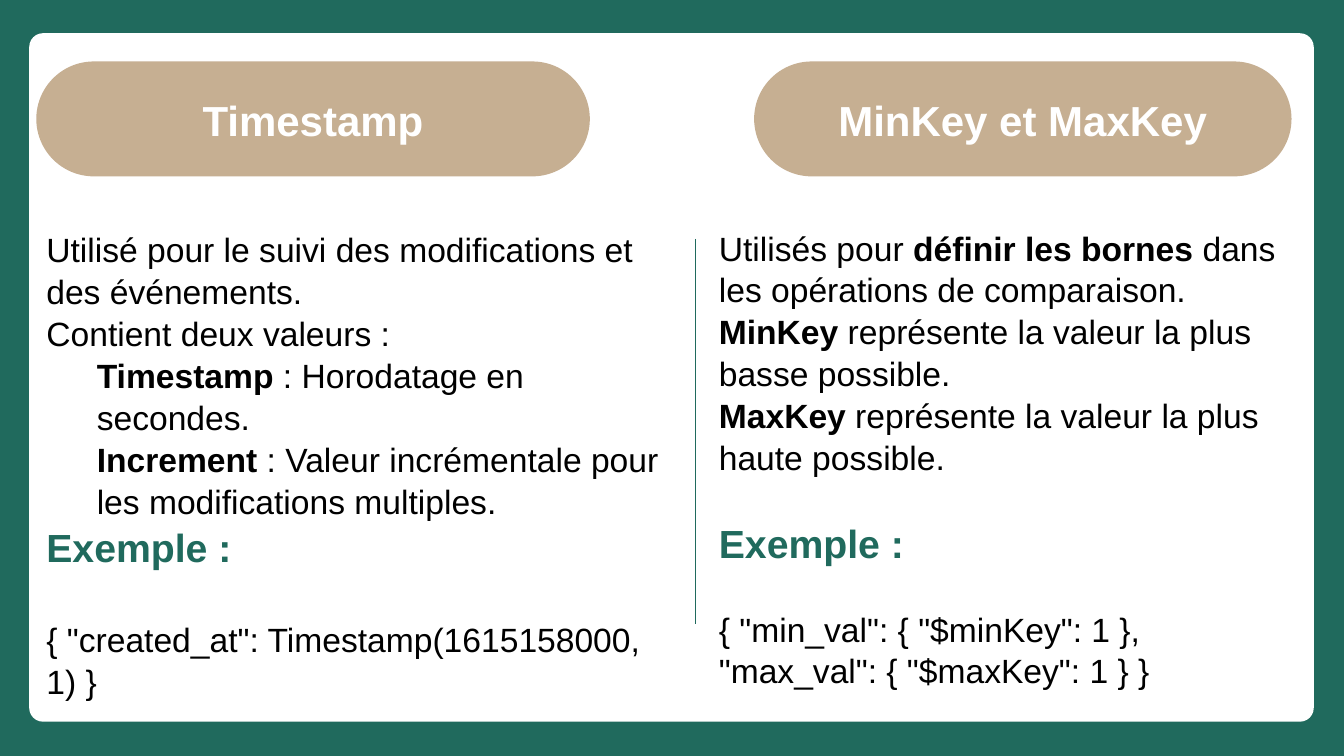
from lxml.etree import SubElement
from pptx import Presentation
from pptx.dml.color import RGBColor
from pptx.enum.shapes import MSO_CONNECTOR, MSO_SHAPE
from pptx.enum.text import MSO_ANCHOR, MSO_AUTO_SIZE, PP_ALIGN
from pptx.oxml.ns import qn
from pptx.util import Inches, Pt

GREEN = RGBColor(0x20, 0x6A, 0x5D)
TAN = RGBColor(0xC6, 0xAF, 0x92)
WHITE = RGBColor(0xFF, 0xFF, 0xFF)
BLACK = RGBColor(0x00, 0x00, 0x00)

PLAIN = {"name": "Arial", "size": Pt(24), "bold": False, "color": BLACK}
BOLD = {**PLAIN, "bold": True}
LABEL = {**BOLD, "size": Pt(28), "color": GREEN}
HEAD = {**BOLD, "size": Pt(30), "color": WHITE}

# Each paragraph: indent level, space before in points, runs
STAMP = [
    (0, 0, [("Utilisé pour le suivi des modifications et des événements.", PLAIN)]),
    (0, 0, [("Contient deux valeurs :", PLAIN)]),
    (1, 0, [("Timestamp", BOLD), (" : Horodatage en secondes.", PLAIN)]),
    (1, 0, [("Increment", BOLD),
            (" : Valeur incrémentale pour les modifications multiples.", PLAIN)]),
    (0, 0, [("Exemple :", LABEL)]),
    (0, 33.6, [('{ "created_at": Timestamp(1615158000, 1) }', PLAIN)]),
]
KEYS = [
    (0, 0, [("Utilisés pour ", PLAIN), ("définir les bornes", BOLD),
            (" dans les opérations de comparaison.", PLAIN)]),
    (0, 0, [("MinKey", BOLD), (" représente la valeur la plus basse possible.", PLAIN)]),
    (0, 0, [("MaxKey", BOLD), (" représente la valeur la plus haute possible.", PLAIN)]),
    (0, 28.8, [("Exemple :", LABEL)]),
    (0, 28.8, [('{ "min_val": { "$minKey": 1 }, "max_val": { "$maxKey": 1 } }', PLAIN)]),
]


class Deck:
    def __init__(self):
        self.prs = Presentation()
        self.prs.slide_width = Inches(13.33)
        self.prs.slide_height = Inches(7.5)
        self.slide = self.prs.slides.add_slide(self.prs.slide_layouts[4])
        self.shapes = self.slide.shapes
        title = self.shapes.title.element
        title.getparent().remove(title)

    def panel(self, kind, box, color):
        shape = self.shapes.add_shape(kind, *map(Inches, box))
        shape.shadow.inherit = False
        shape.fill.solid()
        shape.fill.fore_color.rgb = color
        shape.line.fill.background()
        return shape

    def rule(self, x, top, end):
        line = self.shapes.add_connector(
            MSO_CONNECTOR.STRAIGHT, *map(Inches, (x, top, x, end)))
        line.line.color.rgb = GREEN
        line.line.width = Pt(0.5)
        SubElement(line.element.spPr, qn("a:effectLst"))

    def holder(self, idx, box, anchor, fit):
        """Place a layout placeholder in front of everything drawn so far."""
        shape = next(p for p in self.slide.placeholders
                     if p.placeholder_format.idx == idx)
        self.shapes.element.append(shape.element)
        names = ("left", "top", "width", "height")
        for name, value in zip(names, box):
            setattr(shape, name, Inches(value))
        frame = shape.text_frame
        for name, value in {"word_wrap": True, "auto_size": fit,
                            "vertical_anchor": anchor}.items():
            setattr(frame, name, value)
        return shape

    def fill(self, frame, paras, align):
        for i, (level, space, runs) in enumerate(paras):
            para = frame.paragraphs[0] if i == 0 else frame.add_paragraph()
            props = para._p.get_or_add_pPr()
            props.set("marL", str(Inches(0.5 * level)))
            props.set("indent", "0")
            SubElement(props, qn("a:buNone"))
            for name, value in {"level": level, "space_before": Pt(space),
                                "alignment": align, "line_spacing": 1.04}.items():
                setattr(para, name, value)
            for text, style in runs:
                run = para.add_run()
                run.text = text
                for name, value in style.items():
                    if name == "color":
                        run.font.color.rgb = value
                    else:
                        setattr(run.font, name, value)

    def body(self, idx, box, paras):
        shape = self.holder(idx, box, MSO_ANCHOR.TOP, MSO_AUTO_SIZE.SHAPE_TO_FIT_TEXT)
        self.fill(shape.text_frame, paras, PP_ALIGN.LEFT)

    def pill(self, idx, box, text):
        shape = self.holder(idx, box, MSO_ANCHOR.MIDDLE, MSO_AUTO_SIZE.NONE)
        geom = SubElement(shape.element.spPr, qn("a:prstGeom"), prst="roundRect")
        guides = SubElement(geom, qn("a:avLst"))
        SubElement(guides, qn("a:gd"), name="adj", fmla="val 50000")
        shape.fill.solid()
        shape.fill.fore_color.rgb = TAN
        self.fill(shape.text_frame, [(0, 0, [(text, HEAD)])], PP_ALIGN.CENTER)


def main():
    deck = Deck()
    deck.panel(MSO_SHAPE.RECTANGLE, (0, 0, 13.33, 7.5), GREEN)
    card = deck.panel(MSO_SHAPE.ROUNDED_RECTANGLE, (0.29, 0.33, 12.74, 6.83), WHITE)
    card.adjustments[0] = 0.02
    deck.body(2, (0.36, 2.21, 6.43, 4.68), STAMP)
    deck.rule(6.9, 2.37, 6.19)
    deck.body(4, (7.03, 2.19, 6.01, 4.61), KEYS)
    deck.pill(1, (0.36, 0.61, 5.49, 1.14), "Timestamp")
    deck.pill(3, (7.48, 0.61, 5.33, 1.14), "MinKey et MaxKey")
    deck.prs.save("out.pptx")


if __name__ == "__main__":
    main()
